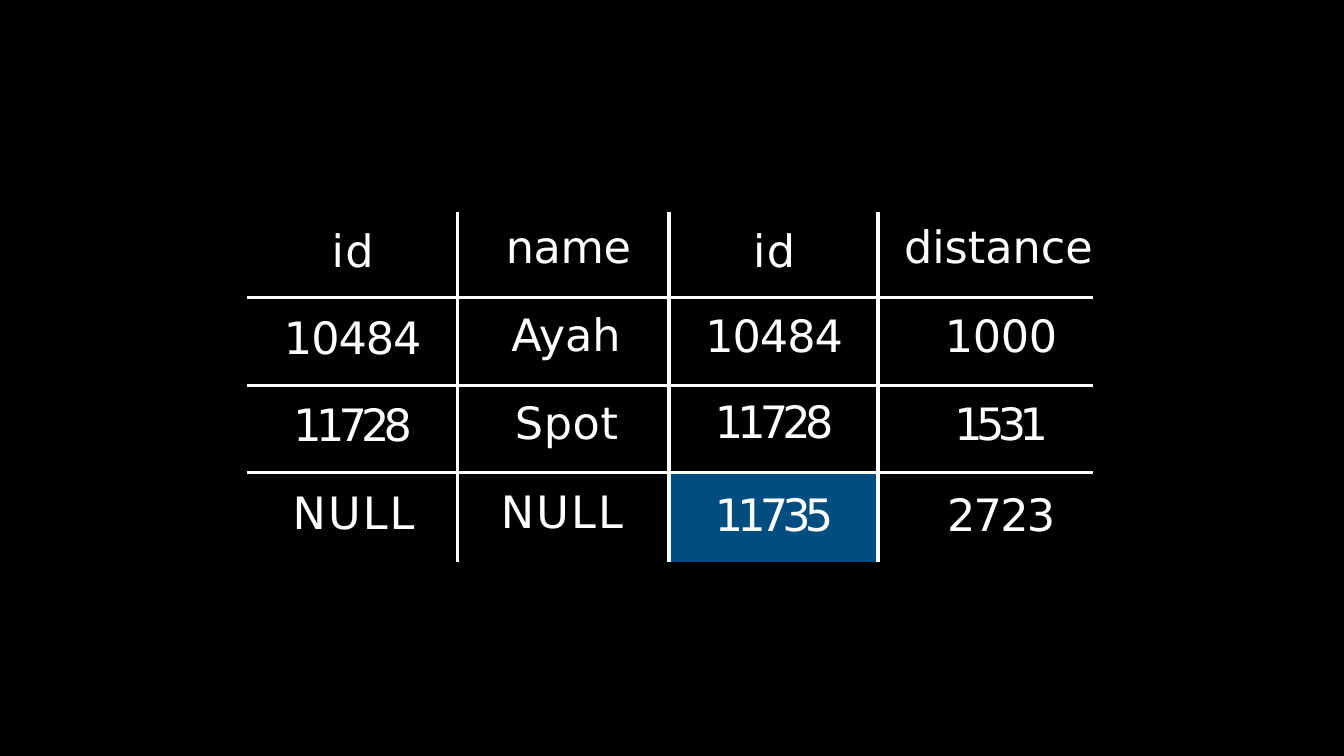
"""Build a slide with a joined result table on a black page."""
import dataclasses

import lxml.etree
import pptx
import pptx.dml.color
import pptx.enum.text
import pptx.oxml.ns
import pptx.util


@dataclasses.dataclass(frozen=True)
class Theme:
    """Colours, type and line sizes of the slide."""
    page: str = "000000"
    ink: str = "FFFFFF"
    highlight: str = "004D7F"
    font: str = "DejaVu Sans"
    size: float = 52.5
    rule: float = 4.25


@dataclasses.dataclass(frozen=True)
class Entry:
    """One cell: runs of text and letter spacing, top inset and left indent."""
    runs: tuple
    top: float
    indent: float
    highlighted: bool = False


THEME = Theme()
SLIDE_WIDTH = pptx.util.Inches(21.99)
SLIDE_HEIGHT = pptx.util.Inches(12.37)
COLUMNS = (3.44, 3.46, 3.42, 3.52)
ROWS = (1.41, 1.43, 1.43, 1.46)
LEFT_ALIGNED_COLUMN = 1
DISTANCE = (("di", 0), ("s", -0.6), ("tan", 0), ("c", -0.8), ("e", 0))
ENTRIES = (
    (Entry((("id", 1.6),), 0.23, 0.01),
     Entry((("name", -0.4),), 0.17, 0.79),
     Entry((("id", 1.6),), 0.23, 0.02),
     Entry(DISTANCE, 0.17, 0.42)),
    (Entry((("10484", -1.2),), 0.25, 0.01),
     Entry((("Ayah", 0.1),), 0.2, 0.88),
     Entry((("10484", -1.2),), 0.22, 0.02),
     Entry((("1000", -0.4),), 0.22, 0.51)),
    (Entry((("11728", -6.8),), 0.25, 0.01),
     Entry((("Spot", 0.8),), 0.21, 0.94),
     Entry((("11728", -6.8),), 0.19, 0.02),
     Entry((("1531", -7.8),), 0.22, 0.51)),
    (Entry((("NULL", 2.6),), 0.25, 0.04),
     Entry((("NULL", 2.6),), 0.24, 0.71),
     Entry((("11735", -6.9),), 0.28, 0.02, True),
     Entry((("2723", -2),), 0.28, 0.51)),
)


def colour(value):
    """Return the colour for a hexadecimal value."""
    return pptx.dml.color.RGBColor.from_string(value)


def draw_borders(cell, row, column):
    """Rule the inner edges of a cell and leave the outer ones open."""
    inner_edges = {
        "L": column > 0,
        "R": column < len(COLUMNS) - 1,
        "T": row > 0,
        "B": row < len(ROWS) - 1,
    }
    qualified = pptx.oxml.ns.qn
    properties = cell._tc.get_or_add_tcPr()
    for side, ruled in inner_edges.items():
        line = lxml.etree.SubElement(properties, qualified(f"a:ln{side}"))
        if ruled:
            line.set("w", str(int(pptx.util.Pt(THEME.rule))))
            fill = lxml.etree.SubElement(line, qualified("a:solidFill"))
            lxml.etree.SubElement(fill, qualified("a:srgbClr"), val=THEME.ink)
        else:
            lxml.etree.SubElement(line, qualified("a:noFill"))


def write_entry(cell, entry, alignment):
    """Fill a cell and write its text run by run."""
    cell.fill.solid()
    cell.fill.fore_color.rgb = colour(
        THEME.highlight if entry.highlighted else THEME.page)
    cell.margin_left = cell.margin_right = cell.margin_bottom = 0
    cell.margin_top = pptx.util.Inches(entry.top)
    para = cell.text_frame.paragraphs[0]
    para.alignment = alignment
    para._p.get_or_add_pPr().set("marL", str(int(pptx.util.Inches(entry.indent))))
    for text, spacing in entry.runs:
        span = para.add_run()
        span.text = text
        span.font.name = THEME.font
        span.font.size = pptx.util.Pt(THEME.size)
        span.font.bold = False
        span.font.color.rgb = colour(THEME.ink)
        span.font._element.set("spc", str(round(spacing * 100)))


def add_result_table(page, box):
    """Place the result table in the given box."""
    left, top, width, height = box
    frame = page.shapes.add_table(len(ROWS), len(COLUMNS), left, top, width, height)
    table = frame.table
    table.first_row = table.horz_banding = False
    for column, share in zip(table.columns, COLUMNS):
        column.width = int(width * share / sum(COLUMNS))
    for row, share in zip(table.rows, ROWS):
        row.height = int(height * share / sum(ROWS))
    align = pptx.enum.text.PP_ALIGN
    for row, entries in enumerate(ENTRIES):
        for column, entry in enumerate(entries):
            cell = table.cell(row, column)
            draw_borders(cell, row, column)
            left_aligned = column == LEFT_ALIGNED_COLUMN
            write_entry(cell, entry, align.LEFT if left_aligned else align.CENTER)


def add_table_page(deck):
    """Add a black page with the result table in the middle."""
    page = deck.slides.add_slide(deck.slide_layouts[6])
    page.background.fill.solid()
    page.background.fill.fore_color.rgb = colour(THEME.page)
    width = pptx.util.Inches(sum(COLUMNS))
    height = pptx.util.Inches(sum(ROWS))
    left = int(SLIDE_WIDTH * 0.184)
    top = int(SLIDE_HEIGHT * 0.28)
    add_result_table(page, (left, top, width, height))


def main():
    """Build and save the deck."""
    deck = pptx.Presentation()
    deck.slide_width = SLIDE_WIDTH
    deck.slide_height = SLIDE_HEIGHT
    add_table_page(deck)
    deck.save("out.pptx")


if __name__ == "__main__":
    main()
